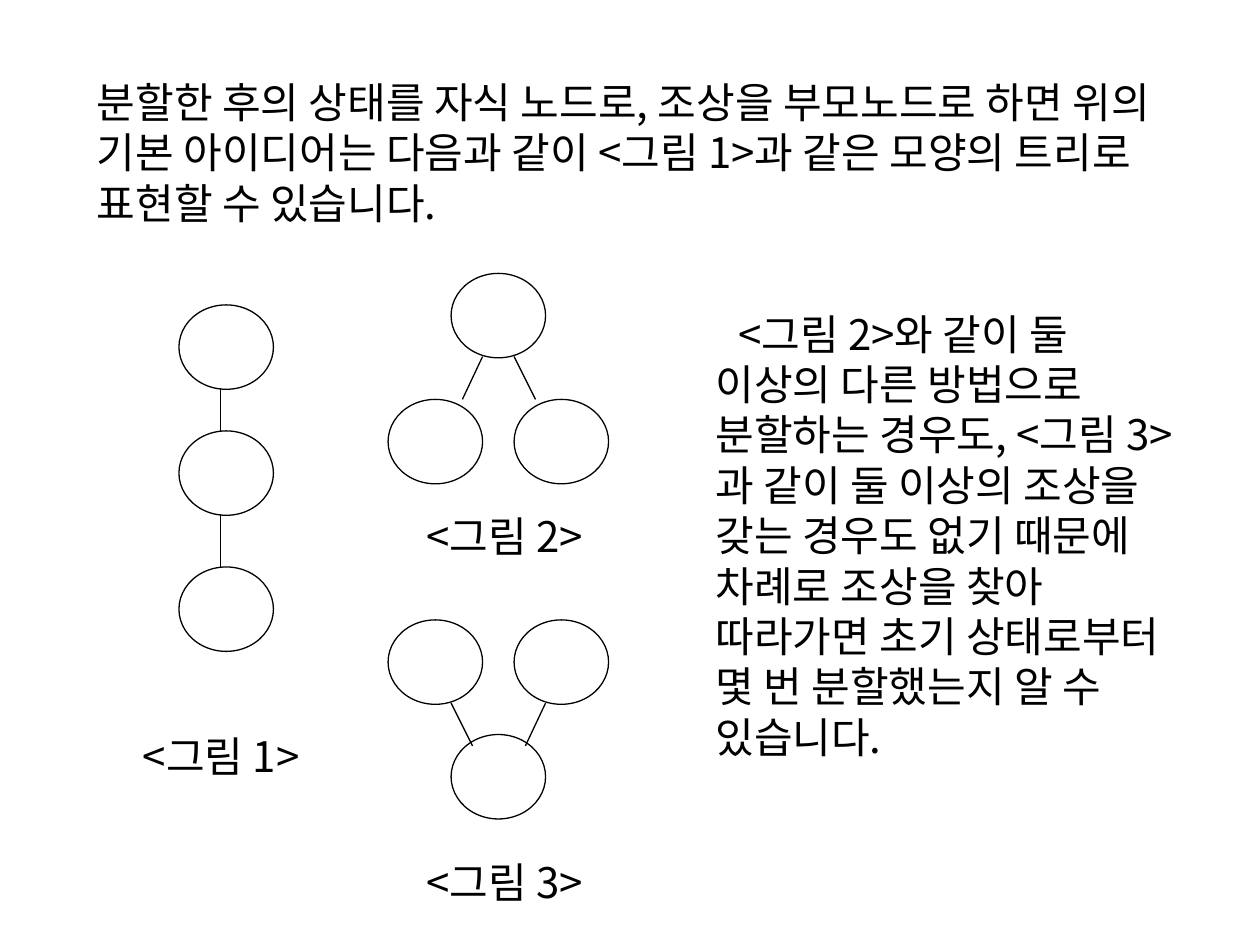
from dataclasses import dataclass

from lxml import etree
from pptx import Presentation
from pptx.dml.color import RGBColor
from pptx.enum import shapes, text
from pptx.oxml import ns
from pptx.util import Inches, Pt

COLORS = {"ink": "000000"}
FONT = "Noto Sans CJK KR"
NODE_WIDTH, NODE_HEIGHT = 0.75, 0.67
Point = tuple[float, float]


@dataclass(frozen=True)
class TextBlock:
    content: str
    left: float
    top: float
    width: float
    height: float
    align: text.PP_ALIGN = text.PP_ALIGN.LEFT
    anchor: text.MSO_ANCHOR = text.MSO_ANCHOR.MIDDLE
    indent: float = 0


@dataclass(frozen=True)
class Figure:
    nodes: list[Point]
    edges: list[tuple[Point, Point]]
    caption: str
    caption_at: Point


PASSAGES = [
    TextBlock(
        "분할한 후의 상태를 자식 노드로, 조상을 부모노드로 하면 위의 기본 아이디어는 "
        "다음과 같이 <그림 1>과 같은 모양의 트리로 표현할 수 있습니다.",
        0.67, 0.58, 8.58, 1.25,
    ),
    TextBlock(
        "<그림 2>와 같이 둘 이상의 다른 방법으로 분할하는 경우도, <그림 3>과 같이 "
        "둘 이상의 조상을 갖는 경우도 없기 때문에 차례로 조상을 찾아 따라가면 "
        "초기 상태로부터 몇 번 분할했는지 알 수 있습니다.",
        5.58, 2.08, 3.83, 4.33, indent=0.18,
    ),
]
FIGURES = [
    Figure(
        [(1.42, 2.42), (1.42, 3.42), (1.42, 4.5)],
        [((1.75, 3.08), (1.75, 3.42)), ((1.75, 4.08), (1.75, 4.5))],
        "<그림 1>", (0.92, 5.75),
    ),
    Figure(
        [(3.58, 2.17), (3.08, 3.17), (4.08, 3.17)],
        [((3.83, 2.83), (3.67, 3.17)), ((4.08, 2.83), (4.25, 3.17))],
        "<그림 2>", (3.17, 4),
    ),
    Figure(
        [(3.08, 4.92), (4.08, 4.92), (3.58, 5.83)],
        [((3.58, 5.58), (3.75, 5.92)), ((4.33, 5.58), (4.17, 5.92))],
        "<그림 3>", (3.17, 6.75),
    ),
]


def ink() -> RGBColor:
    """Return the colour shared by text and outlines."""
    return RGBColor.from_string(COLORS["ink"])


def draw_text(container, block: TextBlock) -> None:
    """Add a wrapped text box with evenly spaced lines."""
    box = container.add_textbox(
        Inches(block.left), Inches(block.top), Inches(block.width), Inches(block.height)
    )
    frame = box.text_frame
    frame.word_wrap = True
    frame.vertical_anchor = block.anchor
    frame.text = block.content
    paragraph = frame.paragraphs[0]
    paragraph.alignment = block.align
    paragraph.line_spacing = Pt(28.8)
    if block.indent:
        paragraph._p.get_or_add_pPr().set("indent", str(Inches(block.indent)))
    font = paragraph.runs[0].font
    font.size = Pt(24)
    font.name = FONT
    font.color.rgb = ink()
    etree.SubElement(font._element, ns.qn("a:ea"), typeface=FONT)


def draw_node(container, position: Point) -> None:
    """Add one outlined tree node."""
    left, top = position
    node = container.add_shape(
        shapes.MSO_SHAPE.OVAL,
        Inches(left), Inches(top), Inches(NODE_WIDTH), Inches(NODE_HEIGHT),
    )
    node.shadow.inherit = False
    node.fill.background()
    node.line.color.rgb = ink()
    node.line.width = Pt(0.75)


def draw_edge(container, start: Point, end: Point) -> None:
    """Add one straight line between two nodes."""
    edge = container.add_connector(
        shapes.MSO_CONNECTOR.STRAIGHT, *(Inches(value) for value in start + end)
    )
    edge.line.color.rgb = ink()
    edge.line.width = Pt(0.75)
    etree.SubElement(edge._element.spPr, ns.qn("a:effectLst"))


def draw_figure(slide, figure: Figure) -> None:
    """Add a captioned tree as one group."""
    container = slide.shapes.add_group_shape().shapes
    for position in figure.nodes:
        draw_node(container, position)
    for start, end in figure.edges:
        draw_edge(container, start, end)
    draw_text(container, TextBlock(
        figure.caption, *figure.caption_at, 1.67, 0.5,
        text.PP_ALIGN.CENTER, text.MSO_ANCHOR.TOP,
    ))


def main() -> None:
    """Build and save the slide."""
    presentation = Presentation()
    presentation.slide_width, presentation.slide_height = Inches(10), Inches(7.5)
    slide = presentation.slides.add_slide(presentation.slide_layouts[6])
    for passage in PASSAGES:
        draw_text(slide.shapes, passage)
    for figure in FIGURES:
        draw_figure(slide, figure)
    presentation.save("out.pptx")


if __name__ == "__main__":
    main()
